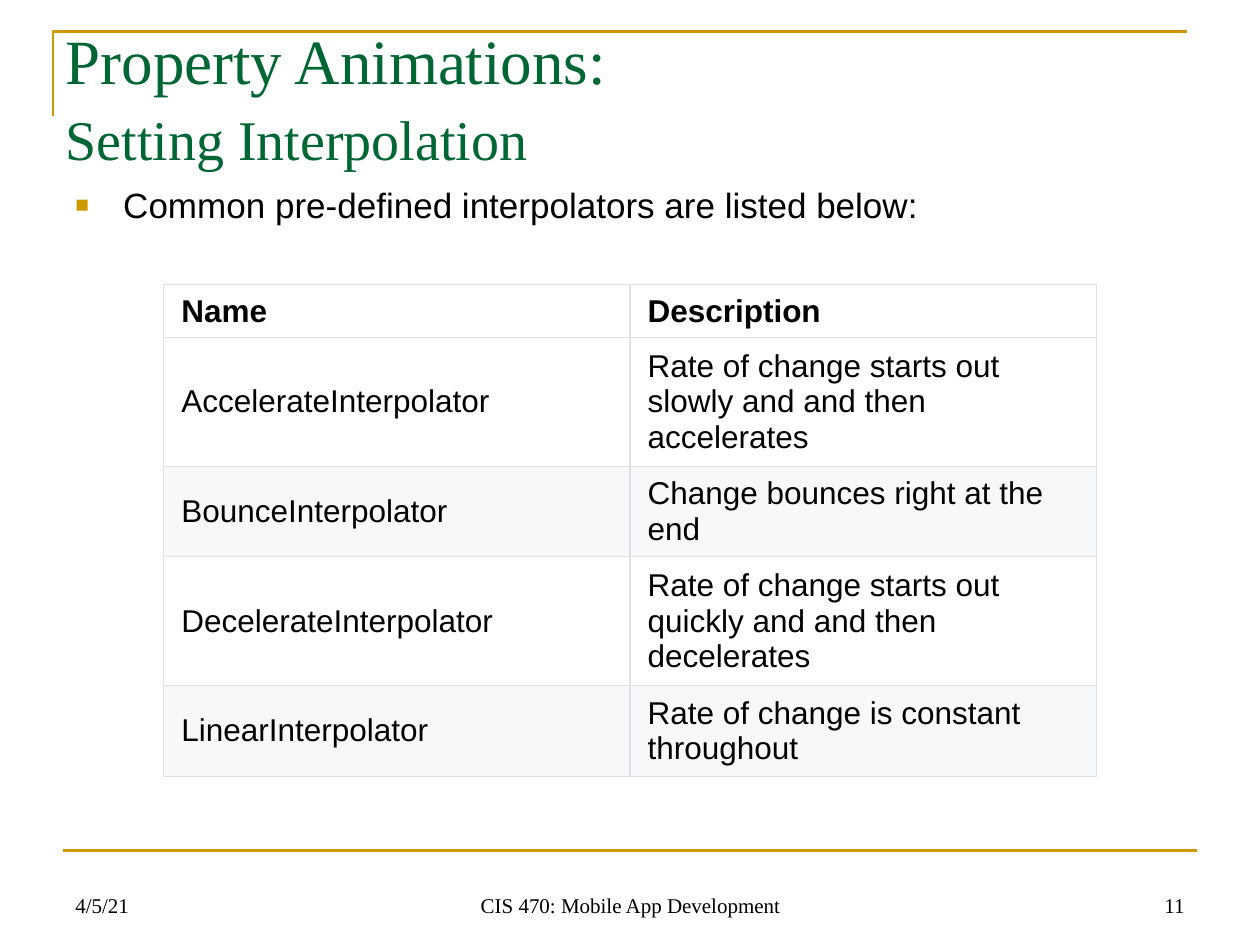
import lxml.etree
import pptx
import pptx.dml.color
import pptx.enum.text
import pptx.oxml.ns
import pptx.util

Inches, Pt = pptx.util.Inches, pptx.util.Pt
Align, Anchor = pptx.enum.text.PP_ALIGN, pptx.enum.text.MSO_ANCHOR
qn = pptx.oxml.ns.qn

SERIF, SANS = "Times New Roman", "Arial"
GOLD, GREEN, BLACK = "CC9900", "006633", "000000"
WHITE, STRIPE, BORDER = "FFFFFF", "F6F8FA", "DFE2E5"

INTERPOLATORS = [
    ("Name", "Description"),
    ("AccelerateInterpolator", "Rate of change starts out slowly and and then accelerates"),
    ("BounceInterpolator", "Change bounces right at the end"),
    ("DecelerateInterpolator", "Rate of change starts out quickly and and then decelerates"),
    ("LinearInterpolator", "Rate of change is constant throughout"),
]
ROW_HEIGHTS = [0.4, 0.96, 0.69, 0.96, 0.69]


def color(value):
    return pptx.dml.color.RGBColor.from_string(value)


def add_xml(parent, tag, **attributes):
    return lxml.etree.SubElement(parent, qn(tag), attributes)


def style(paragraph, size, face, ink=BLACK, bold=False, align=Align.LEFT):
    paragraph.alignment = align
    font = paragraph.font
    font.size, font.name, font.bold = Pt(size), face, bold
    font.color.rgb = color(ink)


def style_rule(rule):
    rule.line.color.rgb = color(GOLD)
    rule.line.width = Pt(1.5)


def add_frame_rules(slide):
    builder = slide.shapes.build_freeform(Inches(0.42), Inches(0.92))
    builder.add_line_segments(
        [(Inches(0.42), Inches(0.25)), (Inches(9.42), Inches(0.25))], close=False)
    corner = builder.convert_to_shape()
    corner.fill.background()
    corner.shadow.inherit = False
    style_rule(corner)

    footer_rule = slide.shapes.add_connector(
        pptx.enum.shapes.MSO_CONNECTOR.STRAIGHT,
        Inches(0.5), Inches(6.75), Inches(9.5), Inches(6.75))
    style_rule(footer_rule)
    add_xml(footer_rule._element.spPr, "a:effectLst")


def set_title(slide):
    title = slide.shapes.title
    title.left, title.top = Inches(0.42), Inches(0.36)
    title.width, title.height = Inches(9), Inches(0.73)
    frame = title.text_frame
    frame.auto_size = pptx.enum.text.MSO_AUTO_SIZE.NONE
    frame.vertical_anchor = Anchor.MIDDLE
    frame.margin_top = Inches(0.13)
    frame.text = "Property Animations:\nSetting Interpolation"
    heading, subheading = frame.paragraphs
    style(heading, 36, SERIF, GREEN)
    style(subheading, 32, SERIF, GREEN)
    subheading.space_before = Pt(4)


def add_text(slide, text, left, top, width, height, anchor):
    """Add a wrapping text box and return its only paragraph."""
    box = slide.shapes.add_textbox(Inches(left), Inches(top), Inches(width), Inches(height))
    frame = box.text_frame
    frame.word_wrap = True
    frame.vertical_anchor = anchor
    frame.text = text
    return frame.paragraphs[0]


def add_bullet(paragraph):
    paragraph.space_before = Pt(3)
    properties = paragraph._p.get_or_add_pPr()
    properties.set("marL", str(Inches(0.38)))
    properties.set("indent", str(Inches(-0.38)))
    add_xml(add_xml(properties, "a:buClr"), "a:srgbClr", val=GOLD)
    add_xml(properties, "a:buSzPct", val="65000")
    add_xml(properties, "a:buFont", typeface=SANS)
    add_xml(properties, "a:buChar", char="■")


def add_borders(cell):
    properties = cell._tc.get_or_add_tcPr()
    for side in ("a:lnL", "a:lnR", "a:lnT", "a:lnB"):
        line = add_xml(properties, side, w=str(Pt(0.75)))
        add_xml(add_xml(line, "a:solidFill"), "a:srgbClr", val=BORDER)


def fill_cell(cell, text, background, bold):
    cell.text = text
    cell.vertical_anchor = Anchor.MIDDLE
    cell.margin_left = cell.margin_right = Inches(0.14)
    cell.margin_top = cell.margin_bottom = Inches(0.06)
    style(cell.text_frame.paragraphs[0], 18, SANS, bold=bold)
    add_borders(cell)
    cell.fill.solid()
    cell.fill.fore_color.rgb = color(background)


def add_interpolator_table(slide):
    table = slide.shapes.add_table(
        len(INTERPOLATORS), 2, Inches(1.3), Inches(2.26),
        Inches(7.4), Inches(sum(ROW_HEIGHTS))).table
    table.first_row = table.horz_banding = False
    for index, (texts, height) in enumerate(zip(INTERPOLATORS, ROW_HEIGHTS)):
        table.rows[index].height = Inches(height)
        striped = index > 0 and index % 2 == 0
        for column, text in enumerate(texts):
            fill_cell(table.cell(index, column), text,
                      STRIPE if striped else WHITE, bold=index == 0)


def add_footer(slide):
    for text, left, width, align in [
        ("4/5/21", 0.5, 2.33, Align.LEFT),
        ("CIS 470: Mobile App Development", 3.42, 3.17, Align.CENTER),
        ("11", 7.17, 2.33, Align.RIGHT),
    ]:
        paragraph = add_text(slide, text, left, 6.83, width, 0.5, Anchor.BOTTOM)
        style(paragraph, 12, SERIF, align=align)


def main():
    deck = pptx.Presentation()
    deck.slide_width, deck.slide_height = Inches(10), Inches(7.5)
    slide = deck.slides.add_slide(deck.slide_layouts.get_by_name("Title Only"))
    add_frame_rules(slide)
    add_footer(slide)
    set_title(slide)
    intro = add_text(slide, "Common pre-defined interpolators are listed below:",
                     0.5, 1.41, 8.76, 1.21, Anchor.TOP)
    add_bullet(intro)
    style(intro, 20, SANS)
    add_interpolator_table(slide)
    deck.save("out.pptx")


if __name__ == "__main__":
    main()
